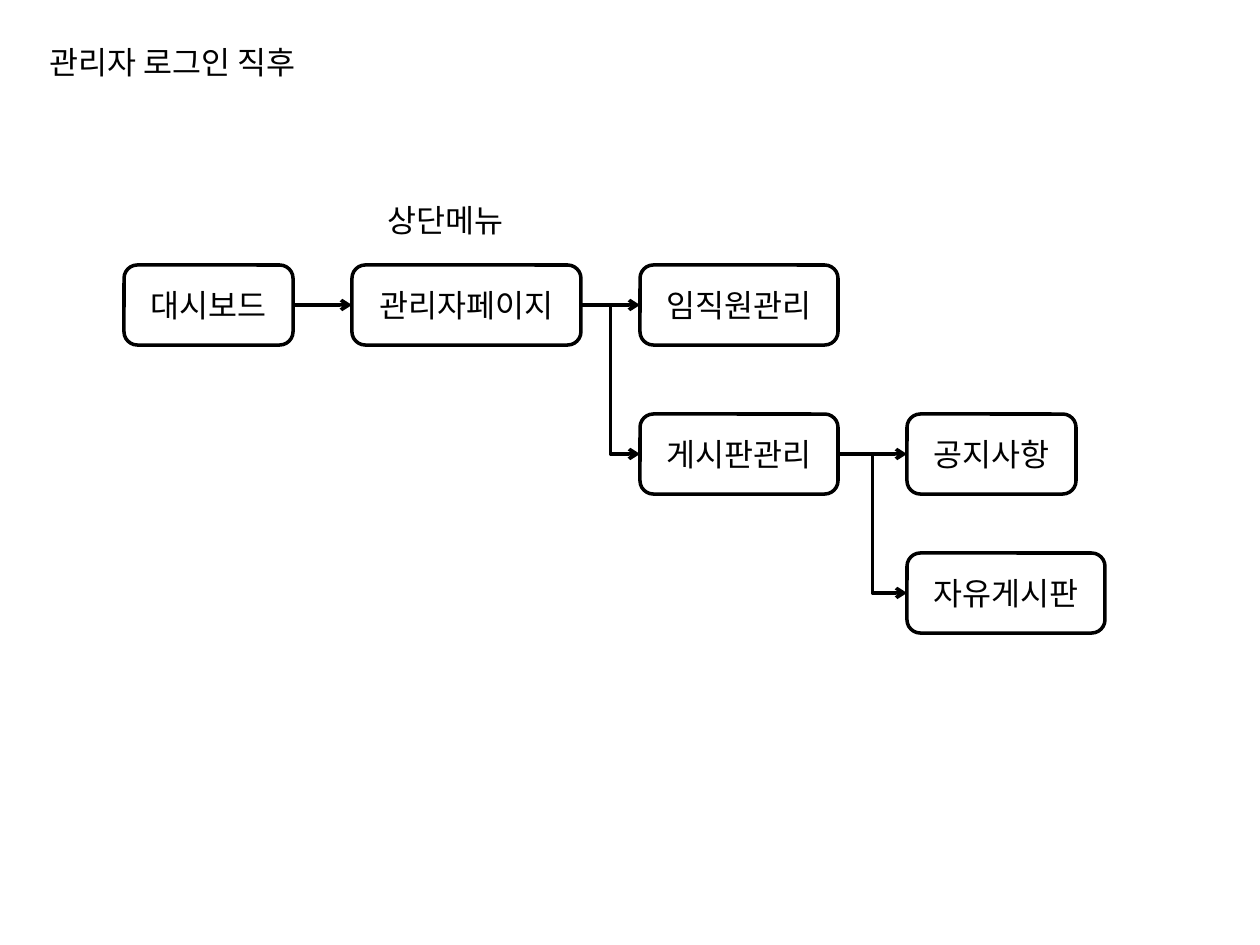
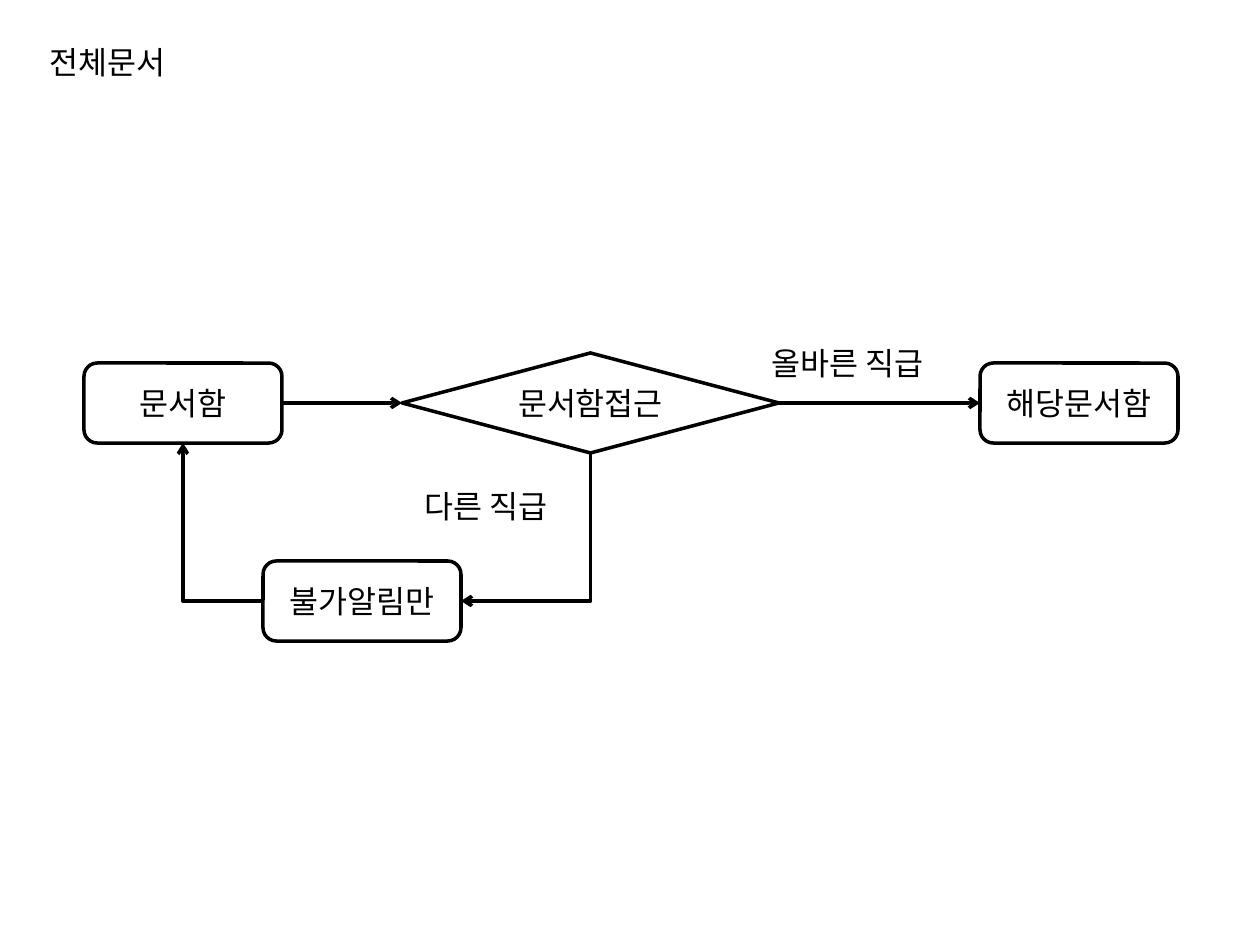
"""Build two flow-chart slides: admin landing pages and document access."""
from dataclasses import dataclass
from typing import Any

import pptx
import pptx.dml.color
import pptx.enum.shapes
import pptx.enum.text
import pptx.oxml
import pptx.oxml.ns
import pptx.util

SHAPE = pptx.enum.shapes.MSO_SHAPE
LINK = pptx.enum.shapes.MSO_CONNECTOR
ALIGN = pptx.enum.text.PP_ALIGN
ANCHOR = pptx.enum.text.MSO_ANCHOR
FIT = pptx.enum.text.MSO_AUTO_SIZE
qn = pptx.oxml.ns.qn

SCALE = 914400 / 126  # EMU in one pixel
TALL = 80  # height of a box
TOP, LEFT, BOTTOM, RIGHT = range(4)  # connection sites of a node


@dataclass(frozen=True)
class Theme:
    """Colours, font and sizes of the deck."""
    ink: Any = pptx.dml.color.RGBColor(0, 0, 0)
    paper: Any = pptx.dml.color.RGBColor(255, 255, 255)
    face: str = "Noto Sans CJK KR"
    size: Any = pptx.util.Pt(18)
    line: Any = pptx.util.Pt(2)


@dataclass(frozen=True)
class Node:
    """A labelled shape of the flow."""
    text: str
    x: int
    y: int
    wide: int
    tall: int = TALL
    kind: Any = SHAPE.ROUNDED_RECTANGLE


@dataclass(frozen=True)
class Edge:
    """An arrow between two nodes, named by their text."""
    start: str
    end: str
    leave: int = RIGHT
    enter: int = LEFT
    bent: bool = False


@dataclass(frozen=True)
class Label:
    """Free text beside the flow."""
    text: str
    x: int
    y: int
    wide: int
    tall: int = 50


@dataclass(frozen=True)
class Page:
    """The content of one slide."""
    title: Label
    nodes: list[Node]
    edges: list[Edge]
    notes: list[Label]


THEME = Theme()
FONT = {"name": THEME.face, "size": THEME.size, "bold": False}
LOOSE = {"word_wrap": False, "auto_size": FIT.SHAPE_TO_FIT_TEXT,
         "vertical_anchor": ANCHOR.TOP}
BOXED = {"word_wrap": True, "vertical_anchor": ANCHOR.MIDDLE}


def px(count: float) -> int:
    """Turn pixels into EMU."""
    return round(count * SCALE)


def apply(item: Any, form: dict[str, Any]) -> None:
    """Set each format value on the item."""
    for key, value in form.items():
        setattr(item, key, value)


def write(shape: Any, text: str, form: dict[str, Any], align: Any) -> None:
    """Put one line of styled text in a shape."""
    apply(shape.text_frame, form)
    para = shape.text_frame.paragraphs[0]
    para.alignment = align
    run = para.add_run()
    run.text = text
    apply(run.font, FONT)
    run.font.color.rgb = THEME.ink
    asian = pptx.oxml.parse_xml(
        f'<a:ea {pptx.oxml.ns.nsdecls("a")} typeface="{THEME.face}"/>')
    run.font._element.find(qn("a:latin")).addnext(asian)


def stroke(line: Any) -> None:
    """Give a line the ink colour and width."""
    line.color.rgb = THEME.ink
    line.width = THEME.line


def area(item: Node | Label) -> list[int]:
    """Give left, top, width and height in EMU."""
    return [px(side) for side in (item.x, item.y, item.wide, item.tall)]


def head(slide: Any, label: Label) -> None:
    """Fill and move the title placeholder."""
    title = slide.shapes.title
    apply(title, dict(zip(("left", "top", "width", "height"), area(label))))
    write(title, label.text, LOOSE, ALIGN.LEFT)


def note(slide: Any, label: Label) -> None:
    """Add a free label."""
    box = slide.shapes.add_textbox(*area(label))
    write(box, label.text, LOOSE, ALIGN.LEFT)


def draw(slide: Any, node: Node) -> Any:
    """Add a node and return its shape."""
    shape = slide.shapes.add_shape(node.kind, *area(node))
    shape.shadow.inherit = False
    shape.fill.solid()
    shape.fill.fore_color.rgb = THEME.paper
    stroke(shape.line)
    write(shape, node.text, BOXED, ALIGN.CENTER)
    return shape


def corner(link: Any, turn: bool) -> None:
    """Make an elbow with one corner; turn it to run down, then left."""
    props = link._element.spPr
    props.find(qn("a:prstGeom")).set("prst", "bentConnector2")
    if turn:
        mid_x = link.left + link.width // 2
        mid_y = link.top + link.height // 2
        wide, tall = link.height, link.width
        frame = props.find(qn("a:xfrm"))
        frame.attrib.pop("flipH", None)
        frame.set("rot", str(90 * 60000))
        apply(link, {"left": mid_x - wide // 2, "top": mid_y - tall // 2,
                     "width": wide, "height": tall})


def join(slide: Any, edge: Edge, shapes: dict[str, Any]) -> None:
    """Add an arrow glued to its two nodes."""
    kind = LINK.ELBOW if edge.bent else LINK.STRAIGHT
    link = slide.shapes.add_connector(kind, 0, 0, 0, 0)
    link.begin_connect(shapes[edge.start], edge.leave)
    link.end_connect(shapes[edge.end], edge.enter)
    if edge.bent and (edge.leave, edge.enter) != (RIGHT, LEFT):
        corner(link, edge.leave == BOTTOM)
    stroke(link.line)
    props = link._element.spPr
    tip = pptx.oxml.parse_xml(
        f'<a:tailEnd {pptx.oxml.ns.nsdecls("a")} type="arrow"/>')
    props.find(qn("a:ln")).append(tip)
    props.append(pptx.oxml.parse_xml(
        f'<a:effectLst {pptx.oxml.ns.nsdecls("a")}/>'))


def build(deck: Any, page: Page) -> None:
    """Add one slide with its title, nodes, arrows and labels."""
    slide = deck.slides.add_slide(deck.slide_layouts.get_by_name("Title Only"))
    head(slide, page.title)
    shapes = {node.text: draw(slide, node) for node in page.nodes}
    for edge in page.edges:
        join(slide, edge, shapes)
    for label in page.notes:
        note(slide, label)


ADMIN = Page(
    Label("관리자 로그인 직후", 37, 37, 302),
    [Node("대시보드", 124, 265, 169),
     Node("관리자페이지", 352, 265, 229),
     Node("임직원관리", 640, 265, 198),
     Node("게시판관리", 640, 414, 198),
     Node("공지사항", 907, 414, 169),
     Node("자유게시판", 907, 553, 198)],
    [Edge("대시보드", "관리자페이지"),
     Edge("관리자페이지", "게시판관리", bent=True),
     Edge("게시판관리", "자유게시판", bent=True),
     Edge("관리자페이지", "임직원관리"),
     Edge("게시판관리", "공지사항")],
    [Label("상단메뉴", 375, 195, 152)])

FILES = Page(
    Label("전체문서", 37, 37, 152),
    [Node("문서함", 84, 363, 198),
     Node("불가알림만", 263, 561, 198),
     Node("해당문서함", 980, 363, 198),
     Node("문서함접근", 402, 353, 377, 100, SHAPE.DIAMOND)],
    [Edge("문서함", "문서함접근"),
     Edge("문서함접근", "해당문서함"),
     Edge("문서함접근", "불가알림만", BOTTOM, RIGHT, True),
     Edge("불가알림만", "문서함", LEFT, BOTTOM, True)],
    [Label("올바른 직급", 759, 338, 195),
     Label("다른 직급", 412, 481, 164)])


def main() -> None:
    """Build and save the deck."""
    deck = pptx.Presentation()
    apply(deck, {"slide_width": px(1260), "slide_height": px(945)})
    for page in (ADMIN, FILES):
        build(deck, page)
    deck.save("out.pptx")


main()
